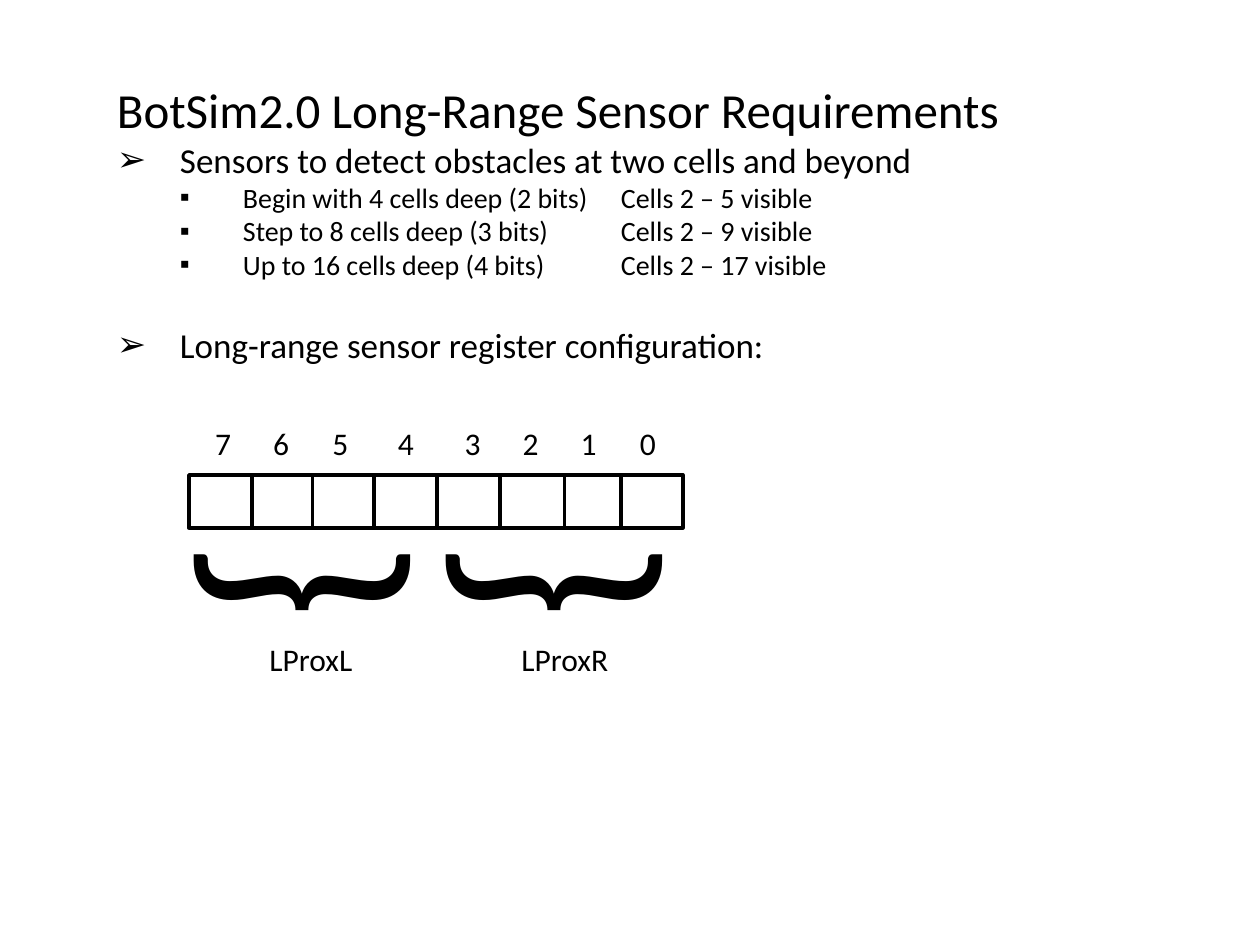
import pptx
import pptx.util
import pptx.dml.color
import pptx.enum.shapes
import pptx.enum.text
import pptx.oxml.ns
import lxml.etree

COLS, ROWS = 100, 75
UNIT = pptx.util.Inches(0.1)
INK = "000000"
TITLE = "BotSim2.0 Long-Range Sensor Requirements"
ITEMS = [
    (1, "Sensors to detect obstacles at two cells and beyond", 0),
    (2, "Begin with 4 cells deep (2 bits)\tCells 2 – 5 visible", 0),
    (2, "Step to 8 cells deep (3 bits)\tCells 2 – 9 visible", 0),
    (2, "Up to 16 cells deep (4 bits)\tCells 2 – 17 visible", 0),
    (1, "Long-range sensor register configuration:", 24.4),
]
STYLES = {1: ("➢", 20), 2: ("▪", 16)}
CUTS = [5, 9.8, 14.7, 19.7, 24.7, 29.8, 34.3]
STOPS = [4.6, 9.3, 14.5, 19.8, 24.4, 29, 33.7]


def grid(*cells):
    return [round(c * UNIT) for c in cells]


def paint(color, value):
    color.rgb = pptx.dml.color.RGBColor.from_string(value)


def node(root, tag, **attrs):
    return lxml.etree.SubElement(root, pptx.oxml.ns.qn(tag), attrs)


def write(para, text, size):
    run = para.add_run()
    run.text = text
    run.font.size = pptx.util.Pt(size)
    run.font.name = "Calibri"
    paint(run.font.color, INK)


def tabs(para, stops):
    props = para._p.get_or_add_pPr()
    root = node(props, "a:tabLst")
    for stop in grid(*stops):
        node(root, "a:tab", pos=str(stop), algn="l")


def bullet(para, level, mark):
    para.level = level - 1
    props = para._p.get_or_add_pPr()
    left, hang = grid(5 * level, -5)
    props.set("marL", str(left))
    props.set("indent", str(hang))
    node(props, "a:buFont", typeface="Wingdings" if level == 0 else "Arial")
    node(props, "a:buChar", char=mark)


def label(shapes, box, text, size, stops=(), turn=0):
    item = shapes.add_textbox(*grid(*box))
    item.rotation = turn
    item.text_frame.word_wrap = False
    para = item.text_frame.paragraphs[0]
    if stops:
        tabs(para, stops)
    write(para, text, size)


def outline(shapes, box):
    frame = shapes.add_textbox(*grid(*box)).text_frame
    frame.word_wrap = True
    write(frame.paragraphs[0], TITLE, 28)
    for level, text, gap in ITEMS:
        mark, size = STYLES[level]
        para = frame.add_paragraph()
        para.space_before = pptx.util.Pt(gap)
        bullet(para, level, mark)
        if "\t" in text:
            tabs(para, [40])
        write(para, text, size)


def cells(shapes, box):
    x, y, w, h = box
    frame = shapes.add_shape(
        pptx.enum.shapes.MSO_SHAPE.RECTANGLE, *grid(*box))
    frame.shadow.inherit = False
    frame.fill.background()
    paint(frame.line.color, INK)
    frame.line.width = pptx.util.Pt(2)
    for cut in CUTS:
        line = shapes.add_connector(
            pptx.enum.shapes.MSO_CONNECTOR.STRAIGHT,
            *grid(x + cut, y, x + cut, y + h))
        paint(line.line.color, INK)
        line.line.width = pptx.util.Pt(2.25)
        node(line._element.spPr, "a:effectLst")


def register(shapes, box):
    x, y, w, h = box
    group = shapes.add_group_shape().shapes
    cells(group, (x, y + 4.5, w, 4.2))
    digits = "\t".join(str(bit) for bit in range(7, -1, -1))
    label(group, (x + 1.1, y, 37.7, 4), digits, 18, STOPS)
    for half in range(2):
        label(group, (x + 6.8 + 20 * half, y + 0.3, 8.4, 25.2),
              "}", 144, turn=90)
    label(group, (x + 5.4, y + 17.1, 29.2, 4), "LProxL\tLProxR", 18, [20])


def main():
    deck = pptx.Presentation()
    deck.slide_width, deck.slide_height = grid(COLS, ROWS)
    slide = deck.slides.add_slide(deck.slide_layouts[6])
    outline(slide.shapes, (8.3, 5.8, 84.2, 58.2))
    register(slide.shapes, (15, 33.2, 39.2, 25.5))
    deck.save("out.pptx")


if __name__ == "__main__":
    main()
